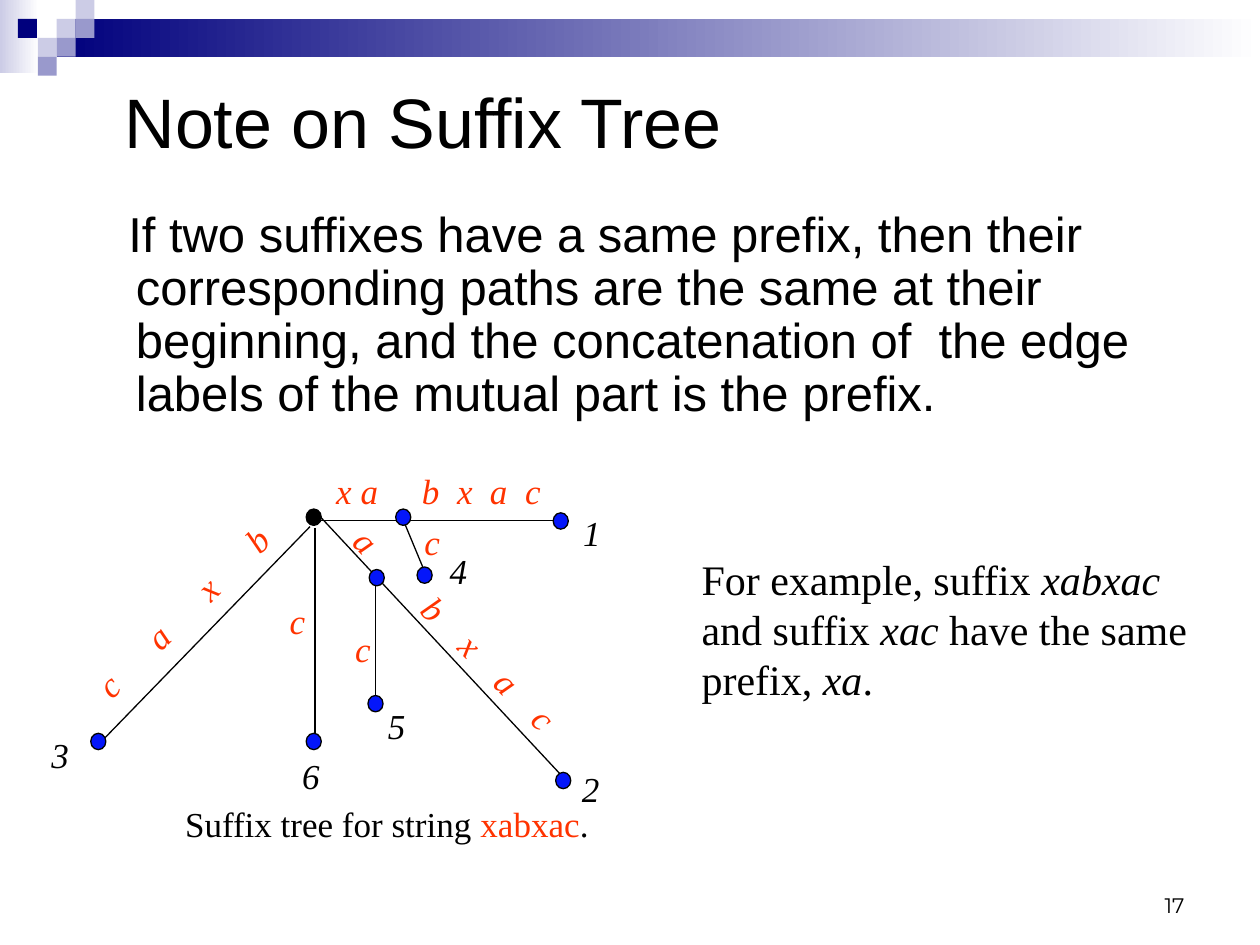
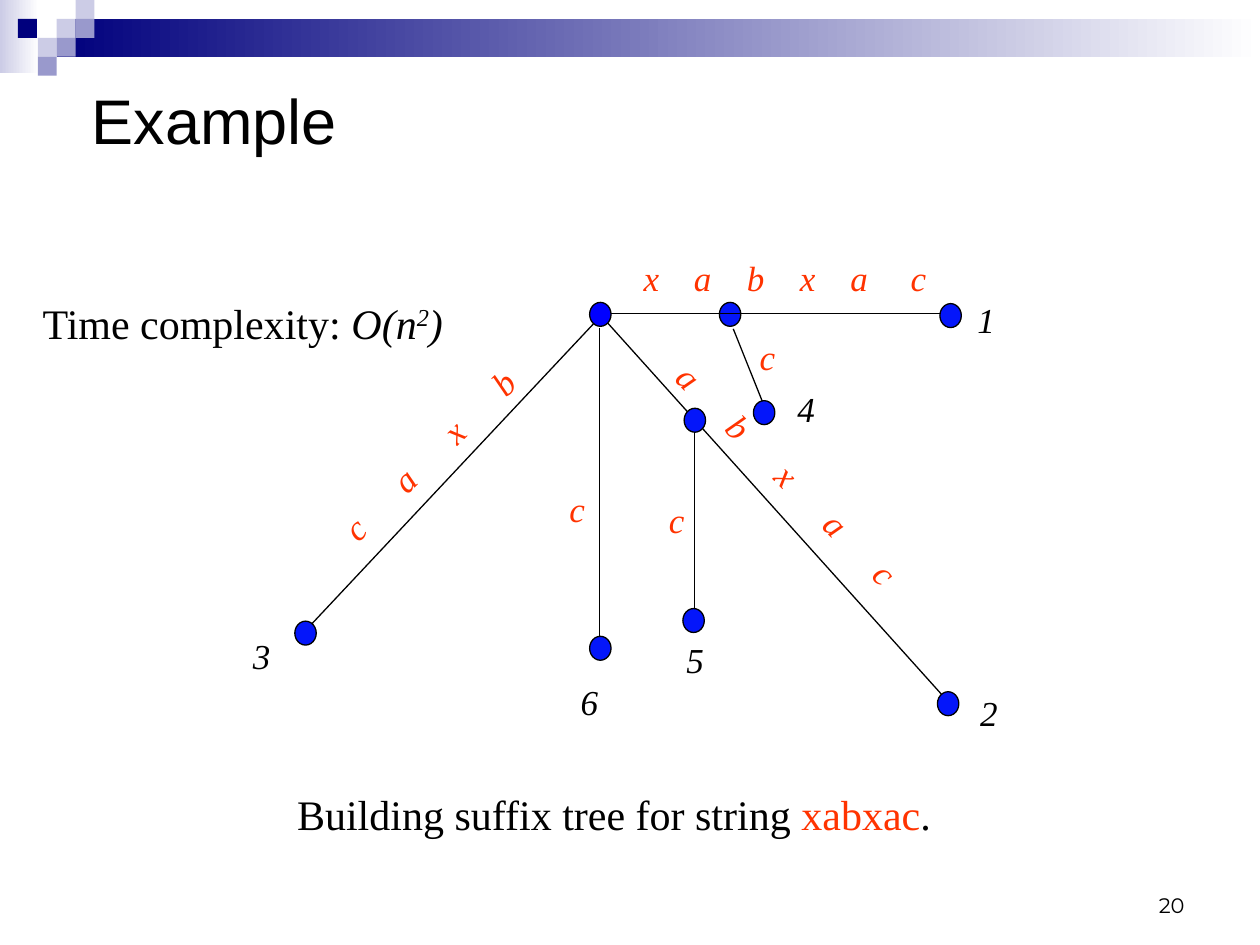
from dataclasses import dataclass

from lxml.etree import SubElement
from pptx import Presentation
from pptx.dml.color import RGBColor
from pptx.enum.shapes import MSO_CONNECTOR, MSO_SHAPE
from pptx.enum.text import MSO_ANCHOR, PP_ALIGN
from pptx.oxml.ns import qn
from pptx.util import Inches, Pt


@dataclass(frozen=True)
class Theme:
    ink: str = "000000"
    navy: str = "00007D"
    lilac: str = "9999CC"
    pale: str = "CCCCE6"
    white: str = "FFFFFF"
    blue: str = "0416FA"
    red: str = "FF3300"
    sans: str = "Arial"
    serif: str = "Times New Roman"
    foot: str = "Montserrat"
    head: int = 40
    subhead: int = 36
    body: int = 28
    note: int = 24
    label: int = 20
    small: int = 12
    stroke: float = 0.75


THEME = Theme()


def write(frame, paras, font=THEME.serif, size=THEME.label, color=THEME.ink,
          italic=False, align=PP_ALIGN.LEFT, stops=(), hang=None, lead=None, before=None):
    """Fill a frame; each paragraph is a string or a list of strings and (string, changes)."""
    for i, runs in enumerate(paras):
        para = frame.paragraphs[0] if i == 0 else frame.add_paragraph()
        para.alignment = align
        if lead:
            para.line_spacing = lead
        if before:
            para.space_before = Pt(before)
        props = para._p.get_or_add_pPr()
        if hang:
            props.set("marL", str(Inches(hang[0])))
            props.set("indent", str(Inches(hang[1])))
        if stops:
            tabs = SubElement(props, qn("a:tabLst"))
            for stop in stops:
                SubElement(tabs, qn("a:tab"), pos=str(Inches(stop)), algn="l")
        for part in [runs] if isinstance(runs, str) else runs:
            text, change = (part, {}) if isinstance(part, str) else part
            run = para.add_run()
            run.text = text
            run.font.name, run.font.size = font, Pt(size)
            run.font.italic = change.get("italic", italic)
            run.font.color.rgb = RGBColor.from_string(change.get("color", color))
            if "raise_by" in change:
                run._r.get_or_add_rPr().set("baseline", str(change["raise_by"] * 1000))


class Deck:
    def __init__(self, theme):
        self.theme = theme
        self.show = Presentation()
        self.show.slide_width, self.show.slide_height = Inches(10), Inches(7.5)
        self.slide = None

    def page(self, title, box, size, number):
        """Start a slide with its band, title and page number."""
        self.slide = self.show.slides.add_slide(self.show.slide_layouts[6])
        self.band()
        self.text([title], *box, anchor=MSO_ANCHOR.MIDDLE, wrap=True,
                  font=self.theme.sans, size=size)
        self.text([number], 7.17, 6.83, 2.33, 0.5, anchor=MSO_ANCHOR.BOTTOM, wrap=True,
                  font=self.theme.foot, size=self.theme.small, align=PP_ALIGN.RIGHT)

    def band(self):
        t, side = self.theme, 0.15
        self.fade(0, 0, 0.31, 0.58, t.pale)
        self.fade(0.45, side, 9.55, 0.3, t.navy)
        tiles = [(3, 1, t.pale), (4, 0, t.pale), (4, 1, t.lilac), (2, 2, t.pale),
                 (0.95, 1, t.navy), (3, 2, t.lilac), (2, 3, t.lilac)]
        for col, row, color in tiles:
            self.shape(MSO_SHAPE.RECTANGLE, col * side, row * side, side, side, color)

    def shape(self, kind, x, y, w, h, color, edge=False):
        item = self.slide.shapes.add_shape(kind, Inches(x), Inches(y), Inches(w), Inches(h))
        item.shadow.inherit = False
        item.fill.solid()
        item.fill.fore_color.rgb = RGBColor.from_string(color)
        if edge:
            item.line.color.rgb = RGBColor.from_string(self.theme.ink)
            item.line.width = Pt(self.theme.stroke)
        else:
            item.line.fill.background()
        return item

    def fade(self, x, y, w, h, color):
        """A bar that fades from a colour to white, left to right."""
        fill = self.shape(MSO_SHAPE.RECTANGLE, x, y, w, h, color).fill
        fill.gradient()
        fill.gradient_angle = 0
        for stop, place, tone in zip(fill.gradient_stops, (0, 1), (color, self.theme.white)):
            stop.position = place
            stop.color.rgb = RGBColor.from_string(tone)

    def text(self, paras, x, y, w, h=0.44, anchor=MSO_ANCHOR.TOP, wrap=False, turn=0, **form):
        box = self.slide.shapes.add_textbox(Inches(x), Inches(y), Inches(w), Inches(h))
        box.rotation = turn
        box.text_frame.word_wrap = wrap
        box.text_frame.vertical_anchor = anchor
        write(box.text_frame, paras, **form)

    def line(self, x1, y1, x2, y2):
        item = self.slide.shapes.add_connector(
            MSO_CONNECTOR.STRAIGHT, Inches(x1), Inches(y1), Inches(x2), Inches(y2))
        item.line.color.rgb = RGBColor.from_string(self.theme.ink)
        item.line.width = Pt(self.theme.stroke)
        SubElement(item._element.spPr, qn("a:effectLst"))

    def letters(self, chars, x, y, w, stops=(), turn=0):
        """Edge label, its letters set apart by tab stops."""
        self.text(["\t".join(chars)], x, y, w, wrap=bool(stops), turn=turn,
                  color=self.theme.red, italic=True, stops=stops)

    def tree(self, lines, dots, size, leaves, marks):
        """Edges, then nodes, then leaf numbers and one-letter labels."""
        for ends in lines:
            self.line(*ends)
        for x, y, *color in dots:
            tone = color[0] if color else self.theme.blue
            self.shape(MSO_SHAPE.OVAL, x, y, *size, tone, edge=True)
        for leaf, (x, y) in enumerate(leaves, 1):
            self.text([str(leaf)], x, y, 0.34, italic=True)
        for x, y in marks:
            self.letters("c", x, y, 0.32)


def note(deck):
    t = deck.theme
    slant = {"italic": True}
    deck.page("Note on Suffix Tree", (0.89, 0.55, 8.68, 0.82), t.head, "17")
    deck.text(["If two suffixes have a same prefix, then their corresponding paths are "
               "the same at their beginning, and the concatenation of  the edge labels "
               "of the mutual part is the prefix."],
              0.6, 1.62, 8.99, 1.92, wrap=True, font=t.sans, size=t.body,
              hang=(0.38, -0.06), lead=0.9, before=7)

    # Suffix tree
    deck.tree(
        lines=[(2.55, 4.11, 4.48, 6.18), (2.46, 4.18, 0.8, 5.89), (2.98, 4.61, 2.98, 5.59),
               (2.5, 4.19, 2.5, 5.9), (2.5, 4.13, 4.43, 4.13), (3.21, 4.15, 3.38, 4.56)],
        dots=[(2.43, 4.04, t.ink), (4.41, 6.13), (0.72, 5.82), (2.92, 5.52), (2.43, 5.82),
              (2.93, 4.52), (3.14, 4.04), (3.31, 4.5), (4.39, 4.07)],
        size=(0.12, 0.13),
        leaves=[(4.53, 4.01), (4.52, 6.04), (0.31, 5.77), (3.47, 4.31), (2.98, 5.54),
                (2.3, 5.94)],
        marks=[(3.27, 4.08), (2.72, 4.93), (2.2, 4.71)])
    deck.letters("caxb", 0.41, 4.51, 2.35, (0.54, 1.1, 1.64), 315.6)
    deck.letters("abxac", 2.38, 4.95, 2.81, (0.76, 1.18, 1.58, 2), 45)
    deck.letters(["x a", *"bxac"], 2.57, 3.68, 1.82, (0.68, 0.96, 1.22, 1.5))
    deck.text([["Suffix tree for string ", ("xabxac", {"color": t.red}), "."]],
              1.37, 6.32, 3.41)

    # Side remark
    deck.text([["For example, suffix", (" xabxac", slant)],
               ["and suffix ", ("xac", slant), " have the same"],
               ["prefix, ", ("xa", slant), "."]],
              5.47, 4.34, 4.06, 1.3, size=t.note)


def example(deck):
    t = deck.theme
    slant = {"italic": True}
    deck.page("Example", (0.63, 0.5, 8.87, 0.89), t.subhead, "20")

    # Suffix tree, with the top edge over its middle node
    deck.tree(
        lines=[(4.72, 2.56, 2.42, 5.01), (4.82, 2.56, 7.49, 5.53), (5.82, 2.61, 6.06, 3.21),
               (4.76, 2.6, 4.76, 5.05), (5.51, 3.44, 5.51, 4.85)],
        dots=[(2.34, 4.93), (7.44, 5.49), (5.71, 2.4), (5.98, 3.18), (4.68, 5.05),
              (4.68, 2.4, "0000FF"), (7.46, 2.41), (5.42, 4.83), (5.43, 3.24)],
        size=(0.17, 0.19),
        leaves=[(7.66, 2.32), (7.68, 5.44), (1.91, 4.99), (6.23, 3.03), (5.35, 5.02),
                (4.51, 5.35)],
        marks=[(5.93, 2.61), (4.42, 3.82), (5.21, 3.91)])
    deck.line(4.85, 2.49, 7.46, 2.49)
    deck.letters("caxb", 2.36, 3.25, 2.38, (0.54, 1.1, 1.64), 315.6)
    deck.letters("abxac", 4.94, 3.65, 2.81, (0.56, 1.11, 1.65, 2.21), 45)
    deck.letters("xabxac", 5.01, 1.99, 2.46, (0.4, 0.82, 1.24, 1.64, 2.12))

    # Captions
    deck.text([["Building suffix tree for string ", ("xabxac", {"color": t.red}), "."]],
              2.26, 6.21, 5.23, 0.5, size=t.note)
    deck.text([["Time complexity: ", ("O(n", slant), ("2", {"italic": True, "raise_by": 30}),
                (")", slant)]],
              0.24, 2.31, 3.39, 0.5, size=t.note)


def main():
    deck = Deck(THEME)
    note(deck)
    example(deck)
    deck.show.save("out.pptx")


if __name__ == "__main__":
    main()
